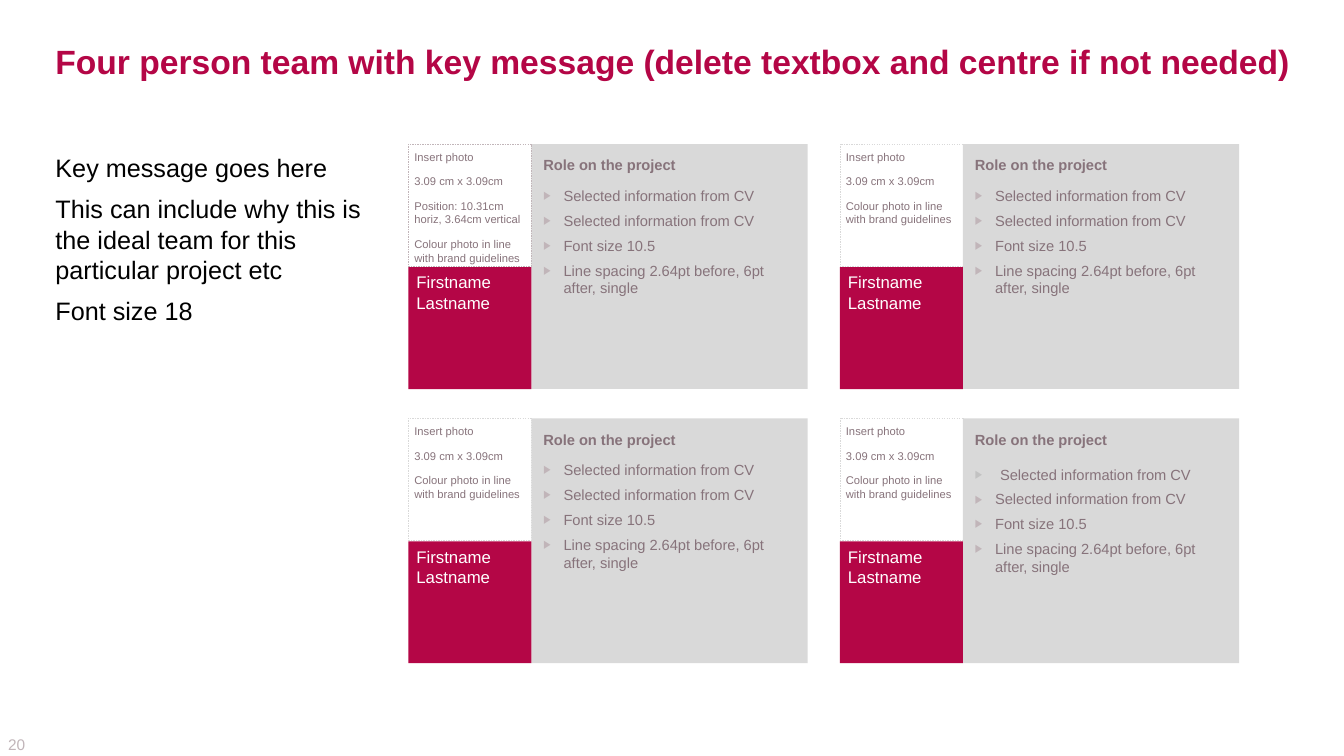
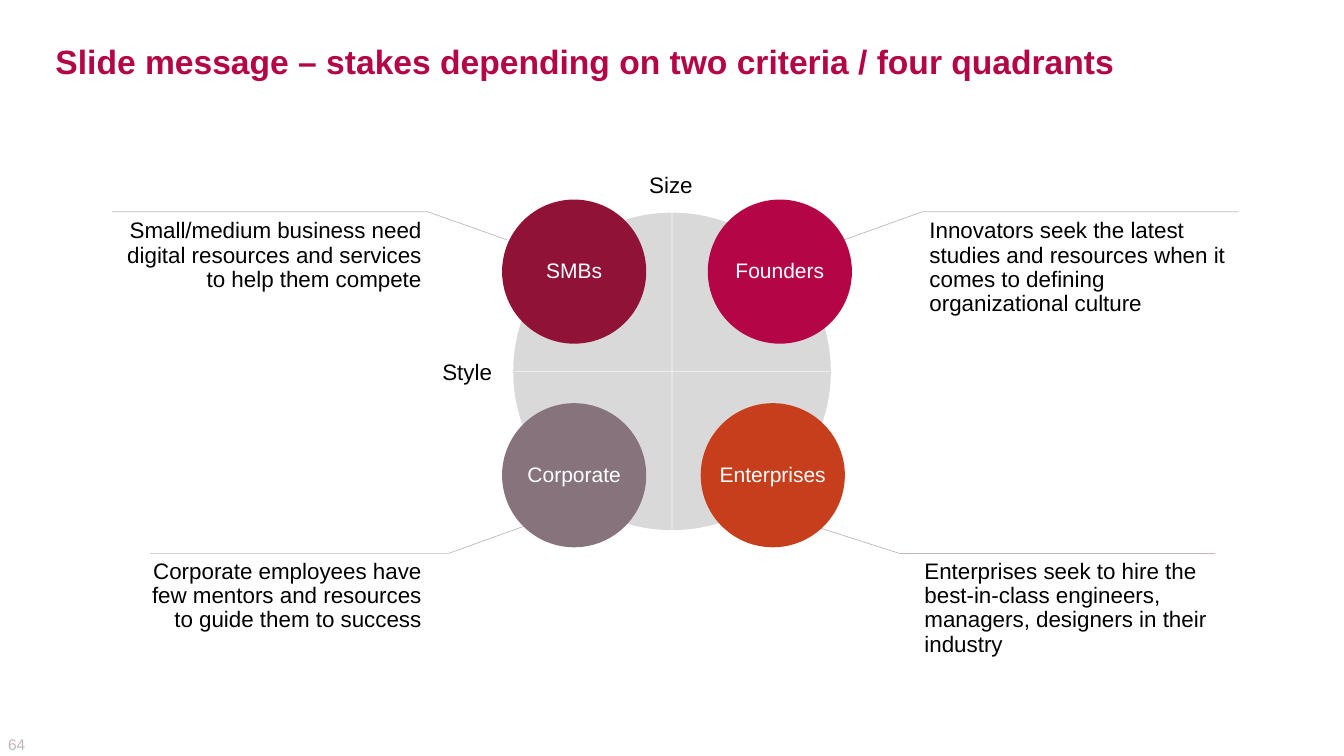
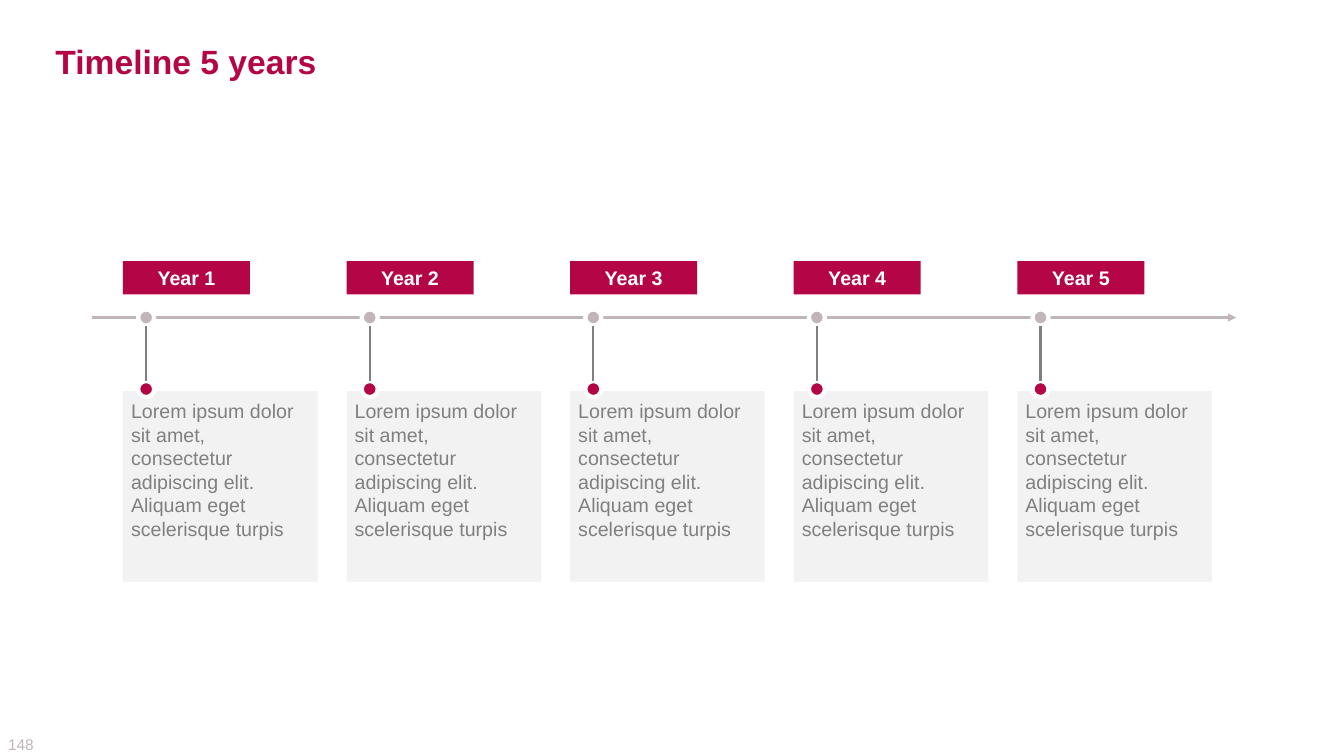
"""Build three slides: a project team, four quadrants and a five-year timeline."""
from dataclasses import dataclass

from lxml import etree
from pptx import Presentation
from pptx import util as u
from pptx.dml.color import RGBColor
from pptx.enum import dml, shapes, text
from pptx.oxml.ns import qn

PX = 9144
RECT, OVAL = shapes.MSO_SHAPE.RECTANGLE, shapes.MSO_SHAPE.OVAL
LEFT, CENTER, RIGHT = text.PP_ALIGN.LEFT, text.PP_ALIGN.CENTER, text.PP_ALIGN.RIGHT
TOP, MIDDLE = text.MSO_ANCHOR.TOP, text.MSO_ANCHOR.MIDDLE


@dataclass(frozen=True)
class Theme:
    """Colours, font and type sizes of the deck."""
    font: str = "Arial"
    brand: str = "B40646"
    wine: str = "901237"
    orange: str = "C63E1B"
    mauve: str = "87737B"
    pale_mauve: str = "C1B5B9"
    silver: str = "C2C2C2"
    panel: str = "D9D9D9"
    light: str = "F2F2F2"
    grey: str = "808080"
    white: str = "FFFFFF"
    black: str = "000000"
    title: float = 24
    message: float = 18
    note: float = 16
    circle: float = 15
    timeline: float = 14
    name: float = 12
    number: float = 11
    role: float = 10.5
    photo: float = 8


THEME = Theme()

TEAM_TITLE = "Four person team with key message (delete textbox and centre if not needed)"
KEY_MESSAGE = [
    "Key message goes here",
    "This can include why this is the ideal team for this particular project etc",
    "Font size 18",
]
ROLE_HEADING = "Role on the project"
ROLE_POINTS = [
    "Selected information from CV",
    "Selected information from CV",
    "Font size 10.5",
    "Line spacing 2.64pt before, 6pt after, single",
]
PERSON = "Firstname\nLastname"
PHOTO_SIZE = ["Insert photo", "3.09 cm x 3.09cm"]
PHOTO_POSITION = ["Position: 10.31cm horiz, 3.64cm vertical"]
PHOTO_COLOUR = ["Colour photo in line with brand guidelines"]

QUADRANT_TITLE = "Slide message – stakes depending on two criteria / four quadrants"
QUADRANTS = [
    dict(label="SMBs", color=THEME.wine, circle=(498, 198), note=(107, 213, 321, 83),
         align=RIGHT, leader=[(503, 238), (424, 210), (111, 210)],
         text="Small/medium business need digital resources and services to help them compete"),
    dict(label="Founders", color=THEME.brand, circle=(702, 198), note=(912, 213, 321, 110),
         align=LEFT, leader=[(837, 238), (915, 210), (1228, 210)],
         text="Innovators seek the latest studies and resources when it comes to defining "
              "organizational culture"),
    dict(label="Corporate", color=THEME.mauve, circle=(498, 400), note=(135, 551, 293, 86),
         align=RIGHT, leader=[(520, 522), (445, 549), (149, 549)],
         text="Corporate employees have few mentors and resources to guide them to success"),
    dict(label="Enterprises", color=THEME.orange, circle=(695, 400), note=(907, 551, 321, 110),
         align=LEFT, leader=[(814, 524), (892, 549), (1205, 549)],
         text="Enterprises seek to hire the best-in-class engineers, managers, designers "
              "in their industry"),
]

TIMELINE_TITLE = "Timeline 5 years"
YEARS = ["Year 1", "Year 2", "Year 3", "Year 4", "Year 5"]
YEAR_TEXT = ("Lorem ipsum dolor sit amet, consectetur adipiscing elit. "
             "Aliquam eget scelerisque turpis")


def px(*lengths):
    """Turn px lengths into EMU."""
    return [u.Emu(round(length * PX)) for length in lengths]


def add_bullet(para, indent, color):
    """Give a paragraph a triangular bullet and a hanging indent."""
    props = para._p.get_or_add_pPr()
    props.set("marL", str(indent * PX))
    props.set("indent", str(-indent * PX))
    tint = etree.SubElement(props, qn("a:buClr"))
    etree.SubElement(tint, qn("a:srgbClr"), val=color)
    etree.SubElement(props, qn("a:buSzPct"), val="77000")
    etree.SubElement(props, qn("a:buFont"), typeface=THEME.font)
    etree.SubElement(props, qn("a:buChar"), char="▶")


def format_paragraph(para, words, size, color=THEME.black, bold=False, align=LEFT,
                     before=0, after=0, spacing=None, bullet=None):
    """Fill one paragraph and format it."""
    para.text = words
    para.alignment = align
    para.space_before, para.space_after = u.Pt(before), u.Pt(after)
    if spacing:
        para.line_spacing = spacing
    if bullet:
        add_bullet(para, *bullet)
    for span in para.runs:
        span.font.name, span.font.size, span.font.bold = THEME.font, u.Pt(size), bold
        span.font.color.rgb = RGBColor.from_string(color)
    for line_break in para._p.findall(qn("a:br")):
        etree.SubElement(line_break, qn("a:rPr"), sz=str(round(size * 100)))


def write(box, words, insets=(8, 8, 8, 8), anchor=TOP, wrap=True, **style):
    """Write a text, or a list of texts and (text, style) pairs, into a shape."""
    frame = box.text_frame
    frame.word_wrap, frame.vertical_anchor = wrap, anchor
    frame.auto_size = text.MSO_AUTO_SIZE.NONE
    (frame.margin_left, frame.margin_top,
     frame.margin_right, frame.margin_bottom) = px(*insets)
    for index, item in enumerate([words] if isinstance(words, str) else words):
        content, own = (item, {}) if isinstance(item, str) else item
        para = frame.add_paragraph() if index else frame.paragraphs[0]
        own_style = {**style, **own}
        if not index:
            own_style["before"] = 0
        format_paragraph(para, content, **own_style)


def stroke(line, color, width, alpha=None, dash=None):
    """Format a line or an outline."""
    line.color.rgb = RGBColor.from_string(color)
    line.width = u.Pt(width)
    if dash:
        line.dash_style = dash
    if alpha:
        tint = line.fill._xPr.find(".//" + qn("a:srgbClr"))
        etree.SubElement(tint, qn("a:alpha"), val=str(alpha * 1000))


def add_box(page, kind, left, top, width, height, fill=None, outline=None):
    """Add a preset shape without shadow."""
    box = page.shapes.add_shape(kind, *px(left, top, width, height))
    box.shadow.inherit = False
    if fill:
        box.fill.solid()
        box.fill.fore_color.rgb = RGBColor.from_string(fill)
    else:
        box.fill.background()
    if outline:
        stroke(box.line, **outline)
    else:
        box.line.fill.background()
    return box


def add_text(page, area, words, **style):
    """Add a text box."""
    write(page.shapes.add_textbox(*px(*area)), words, **style)


def add_line(page, start, end, arrow=False, **style):
    """Add a straight line, with an arrowhead at its end if asked."""
    line = page.shapes.add_connector(shapes.MSO_CONNECTOR.STRAIGHT, *px(*start, *end))
    stroke(line.line, **style)
    if arrow:
        etree.SubElement(line.line._get_or_add_ln(), qn("a:tailEnd"), type="triangle")
    etree.SubElement(line._element.spPr, qn("a:effectLst"))


def add_leader(page, points):
    """Add a bent leader line."""
    corners = [px(*point) for point in points]
    builder = page.shapes.build_freeform(*corners[0])
    builder.add_line_segments(corners[1:], close=False)
    leader = builder.convert_to_shape()
    leader.shadow.inherit = False
    leader.fill.background()
    stroke(leader.line, THEME.mauve, 0.5, alpha=50)


def add_page(deck, title, number):
    """Add a slide with the shared title and page number."""
    page = deck.slides.add_slide(deck.slide_layouts[5])
    heading = page.shapes.title
    heading.left, heading.top, heading.width, heading.height = px(47, 35, 1245, 51)
    write(heading, title, insets=(8, 5, 8, 5), anchor=MIDDLE,
          size=THEME.title, color=THEME.brand, bold=True)
    add_text(page, (8, 729, 39, 19), str(number), insets=(0, 0, 0, 0), anchor=MIDDLE,
             size=THEME.number, color=THEME.pale_mauve)
    return page


def add_member(page, left, top, photo_lines, frame_color, first_point):
    """Add a team card made of photo area, name and role."""
    side, panel_width = 122, 274
    points = [(point, dict(before=5.25, bullet=(20, THEME.pale_mauve)))
              for point in ROLE_POINTS]
    points[0][1].update(first_point)
    role = add_box(page, RECT, left + side, top, panel_width, 2 * side - 1, THEME.panel)
    write(role, [(ROLE_HEADING, dict(bold=True, after=4)), *points],
          insets=(12, 12, 8, 8), size=THEME.role, color=THEME.mauve)
    name = add_box(page, RECT, left, top + side, side, side - 1, THEME.brand)
    write(name, PERSON, insets=(8, 5, 4, 5), size=THEME.name, color=THEME.white)
    photo = add_box(page, RECT, left, top, side, side - 1,
                    outline=dict(color=frame_color, width=0.25, dash=dml.MSO_LINE.DASH))
    write(photo, photo_lines, insets=(6, 6, 6, 6), size=THEME.photo,
          color=THEME.mauve, before=4, after=4)


def build_team(deck):
    """Build the team slide."""
    page = add_page(deck, TEAM_TITLE, 20)
    add_text(page, (47, 143, 341, 190), KEY_MESSAGE, size=THEME.message, before=4, after=4)
    for index in range(4):
        row, column = divmod(index, 2)
        first, last = index == 0, index == 3
        add_member(
            page, 405 + 428 * column, 143 + 272 * row,
            PHOTO_SIZE + (PHOTO_POSITION if first else []) + PHOTO_COLOUR,
            THEME.pale_mauve if first else THEME.panel,
            dict(before=8.4, bullet=(25, THEME.silver)) if last else {})


def build_quadrants(deck):
    """Build the quadrant slide."""
    page = add_page(deck, QUADRANT_TITLE, 64)
    left, top, size = 509, 211, 315
    middle_x, middle_y = left + size / 2, top + size / 2
    for quadrant in QUADRANTS:
        add_leader(page, quadrant["leader"])
    add_box(page, OVAL, left, top, size, size, THEME.panel)
    for start, end in [((middle_x, top), (middle_x, top + size)),
                       ((left, middle_y), (left + size, middle_y))]:
        add_line(page, start, end, color=THEME.white, width=0.75, alpha=50)
    for quadrant in QUADRANTS:
        circle = add_box(page, OVAL, *quadrant["circle"], 143, 143, quadrant["color"])
        write(circle, quadrant["label"], insets=(4, 4, 4, 4), anchor=MIDDLE, wrap=False,
              size=THEME.circle, color=THEME.white, align=CENTER, spacing=0.9)
        add_text(page, quadrant["note"], quadrant["text"], insets=(10, 5, 10, 5),
                 size=THEME.note, align=quadrant["align"], spacing=0.9)
    axis = dict(insets=(0, 5, 0, 5), size=THEME.note)
    add_text(page, (427, 350, 61, 37), "Style", align=RIGHT, **axis)
    add_text(page, (644, 165, 43, 37), "Size", align=CENTER, wrap=False, **axis)


def build_timeline(deck):
    """Build the timeline slide."""
    page = add_page(deck, TIMELINE_TITLE, 148)
    axis_y, dot, first, last = 315, 16, 122, 1009
    add_line(page, (91, axis_y), (1226, axis_y), arrow=True,
             color=THEME.pale_mauve, width=1.5)
    for index, year in enumerate(YEARS):
        left = first + (last - first) * index / (len(YEARS) - 1)
        stem_x = left + 23
        card = add_box(page, RECT, left, 388, 193, 189, THEME.light)
        write(card, YEAR_TEXT, size=THEME.timeline, color=THEME.grey)
        for top, color in [(axis_y - dot / 2, THEME.pale_mauve), (378, THEME.brand)]:
            add_box(page, OVAL, stem_x - dot / 2, top, dot, dot, color,
                    outline=dict(color=THEME.white, width=3))
        add_line(page, (stem_x, axis_y + dot / 2), (stem_x, 378),
                 color=THEME.grey, width=1.5)
        label = add_box(page, RECT, left, 259, 126, 33, THEME.brand)
        write(label, year, anchor=MIDDLE, size=THEME.timeline, color=THEME.white,
              bold=True, align=CENTER)


def main():
    """Build and save the deck."""
    deck = Presentation()
    deck.slide_width, deck.slide_height = u.Inches(13.33), u.Inches(7.5)
    build_team(deck)
    build_quadrants(deck)
    build_timeline(deck)
    deck.save("out.pptx")


if __name__ == "__main__":
    main()
